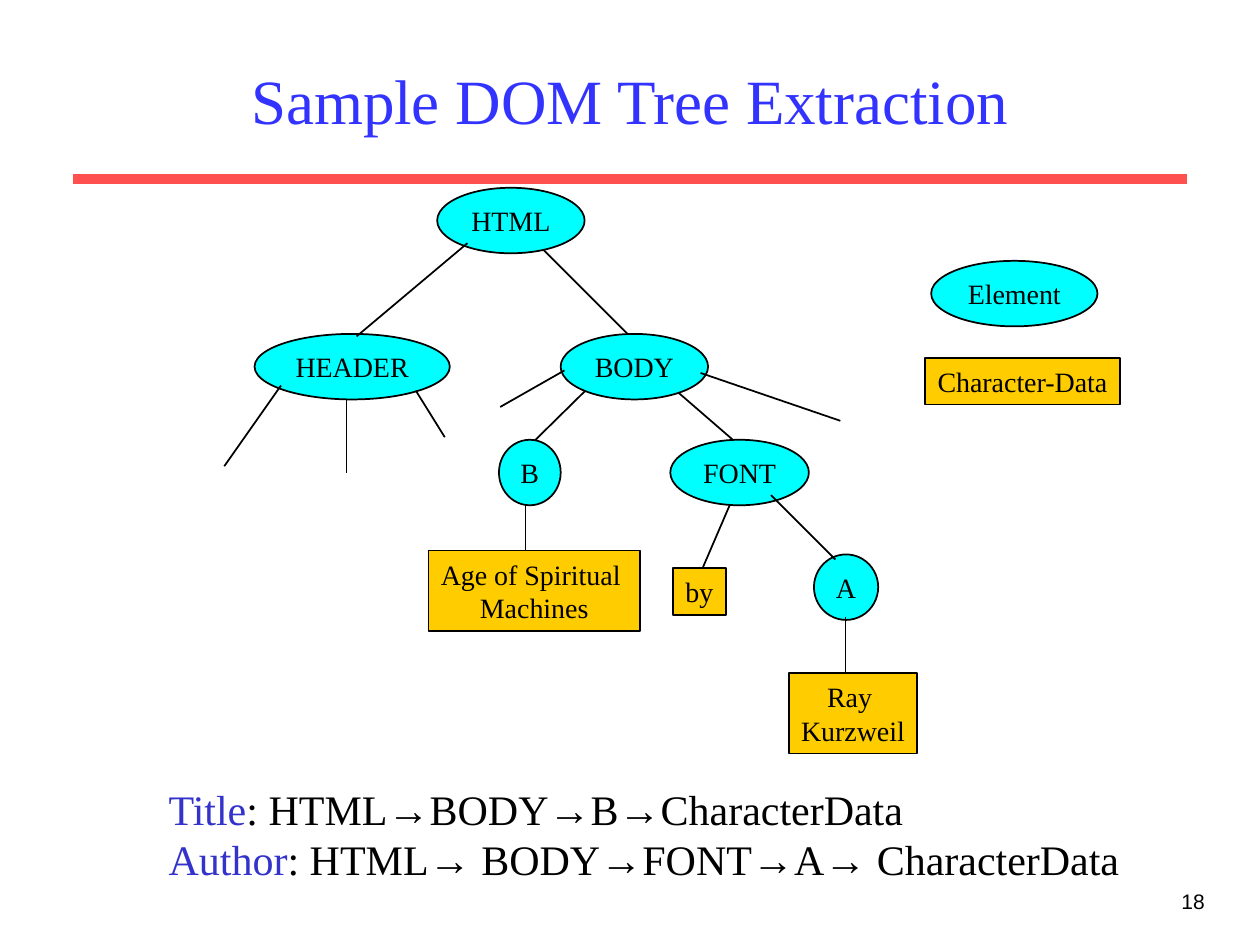
from typing import NamedTuple

from pptx import Presentation
from pptx.dml.color import RGBColor
from pptx.enum.shapes import MSO_CONNECTOR, MSO_SHAPE
from pptx.enum.text import MSO_ANCHOR, MSO_AUTO_SIZE, PP_ALIGN
from pptx.oxml.ns import qn
from pptx.util import Inches, Pt

OVAL, RECT = MSO_SHAPE.OVAL, MSO_SHAPE.RECTANGLE
STRAIGHT = MSO_CONNECTOR.STRAIGHT
LEFT, CENTER, RIGHT = PP_ALIGN.LEFT, PP_ALIGN.CENTER, PP_ALIGN.RIGHT
TOP, MIDDLE = MSO_ANCHOR.TOP, MSO_ANCHOR.MIDDLE
FIXED = MSO_AUTO_SIZE.NONE

SERIF, SANS = "Times New Roman", "Arial"
BLACK, TITLE_BLUE, LABEL_BLUE = "000000", "3333FF", "3333CC"
RED, CYAN, GOLD = "FF5050", "00FFFF", "FFCC00"
ARROW = "→"
ELEMENT_H = 0.52
NODE_INSET = 0.04


class Run(NamedTuple):
    text: str
    size: float
    color: str = BLACK
    font: str = SERIF


class Node(NamedTuple):
    lines: tuple[str, ...]
    x: float
    y: float
    w: float
    h: float = ELEMENT_H
    kind: MSO_SHAPE = OVAL


class Edge(NamedTuple):
    x1: float
    y1: float
    x2: float
    y2: float


# Edges partly hidden by the nodes
BACK_EDGES = [
    Edge(4.25, 1.92, 5, 2.67),        # HTML to BODY
    Edge(4.83, 2.92, 4.21, 3.53),     # BODY to B
    Edge(5.25, 3, 5.92, 3.58),        # BODY to FONT
    Edge(4.17, 3.92, 4.17, 4.67),     # B to its text
    Edge(5.83, 3.92, 5.58, 4.5),      # FONT to "by"
]
NODES = [
    Node(("HTML",), 3.47, 1.49, 1.17),
    Node(("HEADER",), 2.02, 2.65, 1.55),
    Node(("BODY",), 4.45, 2.65, 1.17),
    Node(("B",), 3.96, 3.49, 0.49),
    Node(("FONT",), 5.32, 3.49, 1.1),
    Node(("A",), 6.46, 4.4, 0.51),
    Node(("Age of Spiritual ", "Machines"), 3.4, 4.37, 1.68, 0.64, RECT),
    Node(("by",), 5.34, 4.51, 0.42, 0.37, RECT),
    Node(("Ray ", "Kurzweil"), 6.26, 5.34, 1.02, 0.64, RECT),
    # Legend
    Node(("Element",), 7.39, 2.07, 1.32),
    Node(("Character-Data",), 7.34, 2.84, 1.55, 0.37, RECT),
]
# Edges drawn over the nodes
FRONT_EDGES = [
    Edge(3.71, 1.93, 2.83, 2.67),     # HTML to HEADER
    Edge(2.23, 3.06, 1.78, 3.7),      # open branches of HEADER
    Edge(2.75, 3.17, 2.75, 3.75),
    Edge(3.3, 3.1, 3.53, 3.47),
    Edge(4.48, 2.94, 3.97, 3.23),     # open branches of BODY
    Edge(5.56, 2.96, 6.67, 3.34),
    Edge(6.12, 3.93, 6.63, 4.44),     # FONT to A
    Edge(6.71, 4.9, 6.71, 5.33),      # A to its text
]
PATHS = [
    ("Title", (": HTML", "BODY", "B", "CharacterData")),
    ("Author", (": HTML", " BODY", "FONT", "A", " CharacterData")),
]


def rgb(color: str) -> RGBColor:
    return RGBColor.from_string(color)


def write(sp, paragraphs: list[list[Run]], align=LEFT, anchor=TOP,
          wrap: bool = True, inset: float = 0.1) -> None:
    tf = sp.text_frame
    tf.word_wrap = wrap
    tf.auto_size = FIXED
    tf.vertical_anchor = anchor
    tf.margin_left = tf.margin_right = Inches(inset)
    for i, runs in enumerate(paragraphs):
        p = tf.add_paragraph() if i else tf.paragraphs[0]
        p.alignment = align
        for run in runs:
            r = p.add_run()
            r.text = run.text
            r.font.size = Pt(run.size)
            r.font.name = run.font
            r.font.color.rgb = rgb(run.color)


def add_text(s, x: float, y: float, w: float, h: float, paragraphs, **layout) -> None:
    sp = s.shapes.add_textbox(Inches(x), Inches(y), Inches(w), Inches(h))
    write(sp, paragraphs, **layout)


def add_edge(s, edge: Edge, color: str = BLACK, width: float = 1) -> None:
    line = s.shapes.add_connector(STRAIGHT, *(Inches(v) for v in edge))
    line.line.color.rgb = rgb(color)
    line.line.width = Pt(width)
    props = line._element.spPr
    props.append(props.makeelement(qn("a:effectLst"), {}))


def add_node(s, node: Node) -> None:
    sp = s.shapes.add_shape(node.kind, Inches(node.x), Inches(node.y),
                            Inches(node.w), Inches(node.h))
    sp.shadow.inherit = False
    sp.fill.solid()
    sp.fill.fore_color.rgb = rgb(CYAN if node.kind == OVAL else GOLD)
    sp.line.color.rgb = rgb(BLACK)
    sp.line.width = Pt(1)
    write(sp, [[Run(text, 16)] for text in node.lines],
          align=CENTER, anchor=MIDDLE, wrap=False, inset=NODE_INSET)


def path_runs(label: str, steps: tuple[str, ...]) -> list[Run]:
    runs = [Run(label, 24, LABEL_BLUE), Run(steps[0], 24)]
    for step in steps[1:]:
        runs += [Run(ARROW, 24, font=SANS), Run(step, 24)]
    return runs


def main() -> None:
    prs = Presentation()
    prs.slide_width, prs.slide_height = Inches(10), Inches(7.5)
    s = prs.slides.add_slide(prs.slide_layouts[6])

    # Rule, page number and title
    add_edge(s, Edge(0.58, 1.42, 9.42, 1.42), RED, 6)
    add_text(s, 7.58, 7, 2.08, 0.5, [[Run("18", 12, font=SANS)]], align=RIGHT)
    add_text(s, 0.75, 0.25, 8.5, 1.08,
             [[Run("Sample DOM Tree Extraction", 36, TITLE_BLUE)]],
             align=CENTER, anchor=MIDDLE)

    # Tree and legend
    for edge in BACK_EDGES:
        add_edge(s, edge)
    for node in NODES:
        add_node(s, node)
    for edge in FRONT_EDGES:
        add_edge(s, edge)

    # Extraction paths, with a little room to spare on the right
    add_text(s, 1.24, 6.17, 7.84, 0.9,
             [path_runs(label, steps) for label, steps in PATHS])

    prs.save("out.pptx")


if __name__ == "__main__":
    main()
